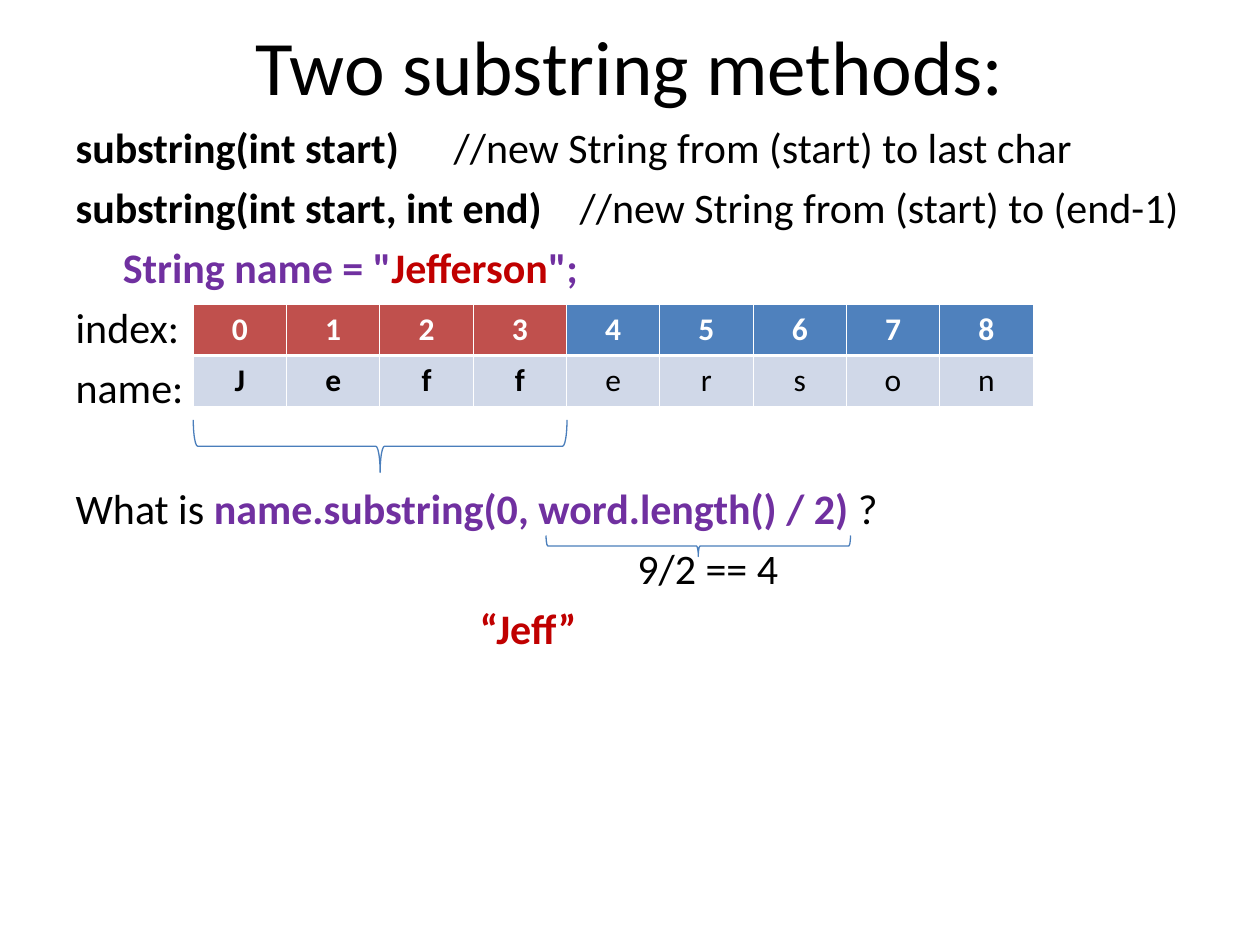
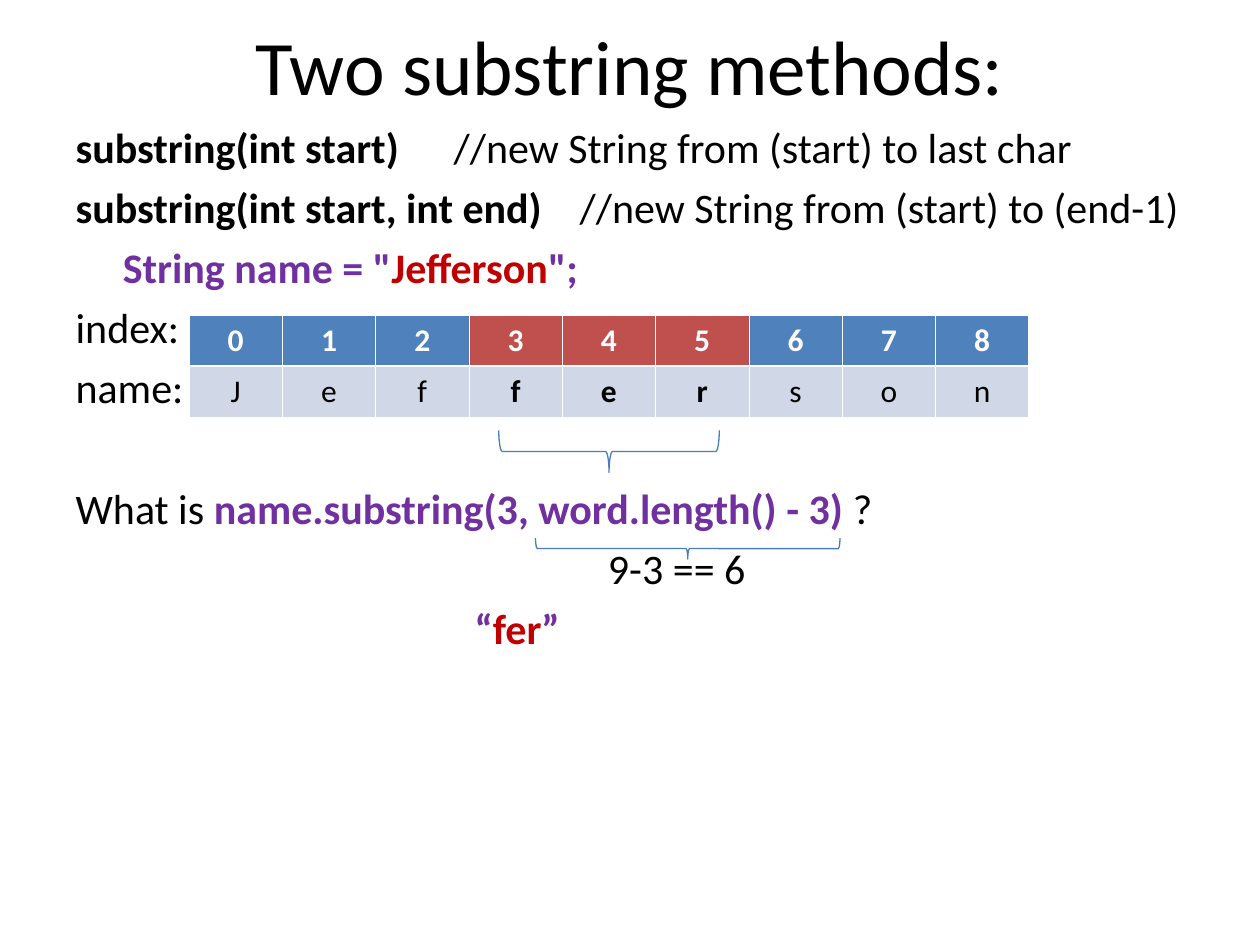
from dataclasses import dataclass
from typing import NamedTuple

from lxml import etree
from pptx import Presentation
from pptx import util as u
from pptx.dml.color import RGBColor
from pptx.enum import shapes, text
from pptx.oxml import ns

SLIDE_WIDTH, SLIDE_HEIGHT = u.Inches(10), u.Inches(7.5)
GRID_COLUMNS, GRID_ROWS = 120, 90
FONT = "Calibri"
BLACK, WHITE = "000000", "FFFFFF"
PURPLE, CRIMSON = "7030A0", "C00000"
BLUE, RED, PALE, BRACE_LINE = "4F81BD", "C0504D", "D0D8E8", "4A7EBB"
BODY_SIZE, CELL_SIZE, TITLE_SIZE = 24, 18, 44
LINE_GAP = 5.5
BLANK_LINE_GAP = 40.3
COMMENT_TAB = 46.8
THIN, THICK = 0.45, 1.47
WORD = "Jefferson"


class Box(NamedTuple):
    """A rectangle in grid columns and rows."""

    left: float
    top: float
    width: float
    height: float


class Piece(NamedTuple):
    """A stretch of text in one style."""

    words: str
    color: str = BLACK
    bold: bool = False


@dataclass(frozen=True)
class Line:
    """One body paragraph, indented by grid columns."""

    pieces: tuple[Piece, ...]
    indent: float = 0
    gap: float = LINE_GAP


@dataclass(frozen=True)
class Example:
    """What differs between the two substring slides."""

    call: str
    length_sum: Line
    answer: Line
    chosen: range
    table_left: float
    table_top: float
    braces: tuple[Box, ...]


TITLE_BOX = Box(6, 2, 108, 8.4)
BODY_BOX = Box(6, 11, 112, 69.4)
TABLE_WIDTH, TABLE_HEIGHT = 80, 9.73

INTRODUCTION = (
    Line((Piece("substring(int start)", bold=True),
          Piece("\t//new String from (start) to last char"))),
    Line((Piece("substring(int start, int end)", bold=True),
          Piece("\t//new String from (start) to (end-1)"))),
    Line((Piece('String name = "', PURPLE, True), Piece(WORD, CRIMSON, True),
          Piece('";', PURPLE, True)), indent=4.5),
    Line((Piece("index:"),)),
    Line((Piece("name:"),)),
)

EXAMPLES = (
    Example(
        call="name.substring(0, word.length() / 2) ",
        length_sum=Line((Piece("9/2 == 4"),), indent=53.5),
        answer=Line((Piece("“Jeff”", CRIMSON, True),), indent=38.5),
        chosen=range(0, 4),
        table_left=18.4,
        table_top=29,
        braces=(Box(52, 51, 29, 2), Box(18.4, 40, 35.6, 5)),
    ),
    Example(
        call="name.substring(3, word.length() - 3) ",
        length_sum=Line((Piece("9-3 == 6"),), indent=50.7),
        answer=Line((Piece("“", PURPLE, True), Piece("fer", CRIMSON, True),
                     Piece("”", PURPLE, True)), indent=38),
        chosen=range(3, 6),
        table_left=18,
        table_top=30,
        braces=(Box(51, 51.25, 29, 2), Box(47.5, 41, 21, 4)),
    ),
)


def across(columns: float) -> int:
    """Turn grid columns into a length."""
    return round(SLIDE_WIDTH * columns / GRID_COLUMNS)


def down(rows: float) -> int:
    """Turn grid rows into a length."""
    return round(SLIDE_HEIGHT * rows / GRID_ROWS)


def place(box: Box) -> tuple[int, int, int, int]:
    """Turn a grid box into left, top, width and height."""
    return across(box.left), down(box.top), across(box.width), down(box.height)


def rgb(color: str) -> RGBColor:
    """Turn a hex string into a colour."""
    return RGBColor.from_string(color)


def move(shape, box: Box) -> None:
    """Put a shape into a grid box."""
    shape.left, shape.top, shape.width, shape.height = place(box)


def style(font, size: float, color: str, bold: bool = False) -> None:
    """Set the look of a font."""
    font.name, font.size, font.bold = FONT, u.Pt(size), bold
    font.color.rgb = rgb(color)


def write(paragraph, pieces: tuple[Piece, ...], size: float) -> None:
    """Add styled runs to a paragraph."""
    for piece in pieces:
        run = paragraph.add_run()
        run.text = piece.words
        style(run.font, size, piece.color, piece.bold)


def write_title(slide) -> None:
    """Fill the title placeholder."""
    title = slide.shapes.title
    move(title, TITLE_BOX)
    frame = title.text_frame
    frame.text = "Two substring methods:"
    frame.vertical_anchor = text.MSO_ANCHOR.MIDDLE
    frame.auto_size = text.MSO_AUTO_SIZE.NONE
    paragraph = frame.paragraphs[0]
    paragraph.alignment = text.PP_ALIGN.CENTER
    style(paragraph.font, TITLE_SIZE, BLACK)


def write_line(paragraph, line: Line) -> None:
    """Write one body line without a bullet."""
    paragraph.space_before = u.Pt(line.gap)
    properties = paragraph._p.get_or_add_pPr()
    properties.set("marL", str(across(line.indent)))
    properties.set("indent", "0")
    etree.SubElement(properties, ns.qn("a:buNone"))
    tabs = etree.SubElement(properties, ns.qn("a:tabLst"))
    etree.SubElement(tabs, ns.qn("a:tab"), pos=str(across(COMMENT_TAB)), algn="l")
    write(paragraph, line.pieces, BODY_SIZE)


def write_body(slide, example: Example) -> None:
    """Fill the body placeholder."""
    body = slide.placeholders[1]
    move(body, BODY_BOX)
    frame = body.text_frame
    frame.auto_size = text.MSO_AUTO_SIZE.NONE
    question = Line((Piece("What is "), Piece(example.call, PURPLE, True), Piece("?")),
                    gap=BLANK_LINE_GAP)
    lines = (*INTRODUCTION, question, example.length_sum, example.answer)
    for number, line in enumerate(lines):
        paragraph = frame.add_paragraph() if number else frame.paragraphs[0]
        write_line(paragraph, line)


def add_brace(slide, box: Box) -> None:
    """Draw a brace that opens upward and fills a grid box."""
    left, top, width, height = place(box)
    brace = slide.shapes.add_shape(
        shapes.MSO_SHAPE.RIGHT_BRACE,
        left + (width - height) // 2, top + (height - width) // 2, height, width)
    brace.rotation = 90
    brace.shadow.inherit = False
    brace.fill.background()
    brace.line.color.rgb = rgb(BRACE_LINE)
    brace.line.width = u.Pt(0.75)


def add_borders(cell, is_header: bool) -> None:
    """Give a cell white borders, thick between header and letters."""
    widths = {"lnL": THIN, "lnR": THIN,
              "lnT": THIN if is_header else THICK,
              "lnB": THICK if is_header else THIN}
    properties = cell._tc.get_or_add_tcPr()
    for tag, width in widths.items():
        border = etree.SubElement(properties, ns.qn(f"a:{tag}"), w=str(u.Pt(width)))
        fill = etree.SubElement(border, ns.qn("a:solidFill"))
        etree.SubElement(fill, ns.qn("a:srgbClr"), val=WHITE)


def fill_cell(cell, piece: Piece, fill: str, is_header: bool) -> None:
    """Write and colour one table cell."""
    add_borders(cell, is_header)
    cell.fill.solid()
    cell.fill.fore_color.rgb = rgb(fill)
    paragraph = cell.text_frame.paragraphs[0]
    paragraph.alignment = text.PP_ALIGN.CENTER
    write(paragraph, (piece,), CELL_SIZE)


def add_letter_table(slide, example: Example) -> None:
    """Draw the table of indexes and letters."""
    box = Box(example.table_left, example.table_top, TABLE_WIDTH, TABLE_HEIGHT)
    table = slide.shapes.add_table(2, len(WORD), *place(box)).table
    table.horz_banding = False
    for index, letter in enumerate(WORD):
        is_chosen = index in example.chosen
        fill_cell(table.cell(0, index), Piece(str(index), WHITE, True),
                  RED if is_chosen else BLUE, True)
        fill_cell(table.cell(1, index), Piece(letter, BLACK, is_chosen), PALE, False)


def main() -> None:
    """Build and save the presentation."""
    presentation = Presentation()
    presentation.slide_width, presentation.slide_height = SLIDE_WIDTH, SLIDE_HEIGHT
    for example in EXAMPLES:
        slide = presentation.slides.add_slide(presentation.slide_layouts[1])
        write_title(slide)
        write_body(slide, example)
        for box in example.braces:
            add_brace(slide, box)
        add_letter_table(slide, example)
    presentation.save("out.pptx")


if __name__ == "__main__":
    main()
